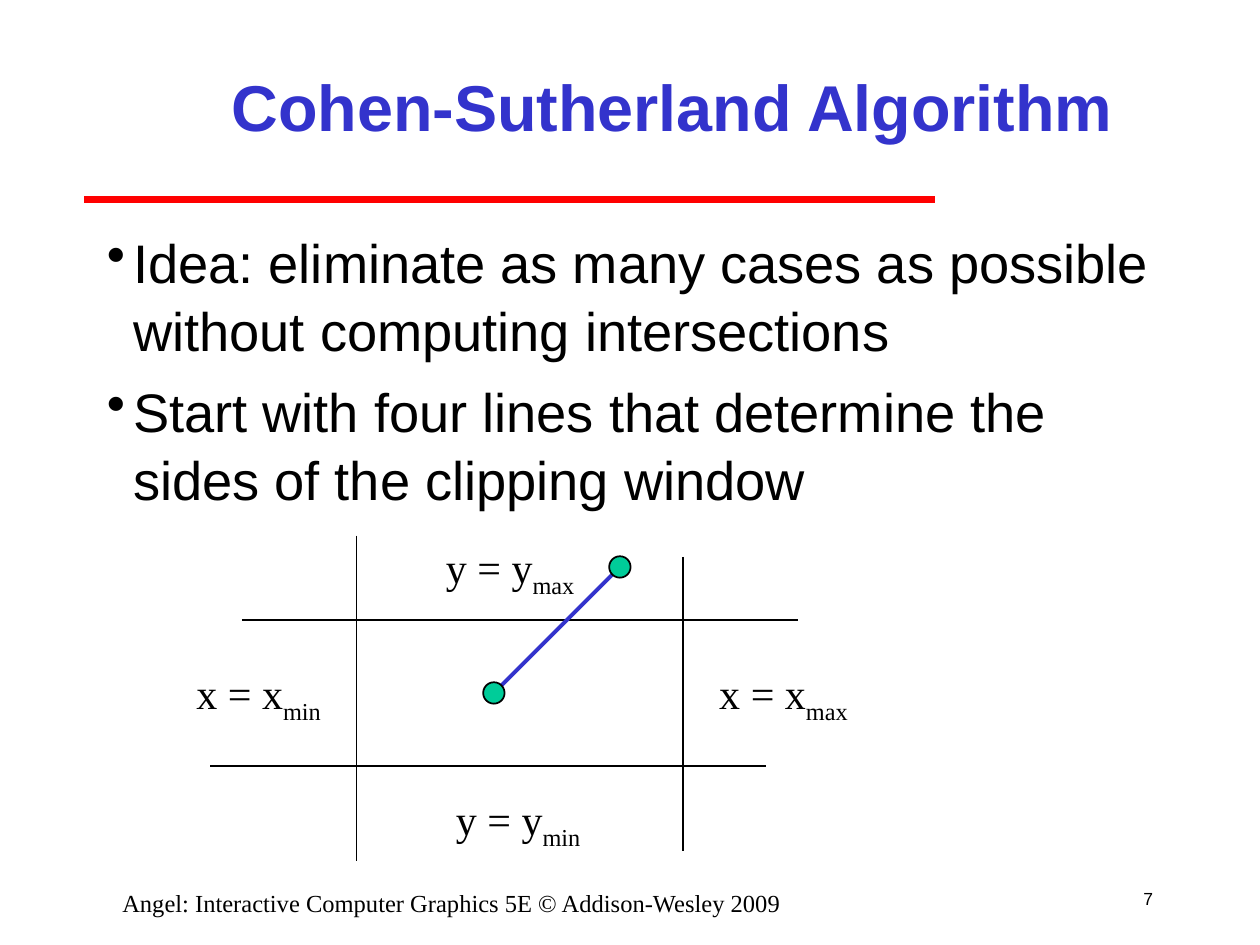
import pptx
import pptx.util
import pptx.dml.color
import pptx.enum.shapes
import pptx.enum.text
import pptx.oxml.ns
from lxml import etree

Inches = pptx.util.Inches
Pt = pptx.util.Pt
RGBColor = pptx.dml.color.RGBColor
ALIGN = pptx.enum.text.PP_ALIGN
ANCHOR = pptx.enum.text.MSO_ANCHOR
qn = pptx.oxml.ns.qn

BLACK = RGBColor(0x00, 0x00, 0x00)
RED = RGBColor(0xFF, 0x00, 0x00)
BLUE = RGBColor(0x33, 0x33, 0xCC)
GREEN = RGBColor(0x00, 0xCC, 0x99)
SERIF = "Times New Roman"
SANS = "Arial"


def add_span(para, text, font=SERIF, size=24, color=BLACK, bold=False, baseline=0):
    span = para.add_run()
    span.text = text
    span.font.name = font
    span.font.size = Pt(size)
    span.font.color.rgb = color
    span.font.bold = bold
    if baseline:
        span.font._element.set("baseline", str(baseline * 1000))


def add_box(page, left, top, width, height, wrap=True, anchor=ANCHOR.TOP):
    box = page.shapes.add_textbox(Inches(left), Inches(top), Inches(width), Inches(height))
    box.text_frame.word_wrap = wrap
    box.text_frame.vertical_anchor = anchor
    return box.text_frame


def add_title(page, text):
    title = page.shapes.title
    title.left, title.top = Inches(1.5), Inches(0.25)
    title.width, title.height = Inches(7.67), Inches(1.17)
    title.text_frame.vertical_anchor = ANCHOR.MIDDLE
    para = title.text_frame.paragraphs[0]
    para.alignment = ALIGN.CENTER
    add_span(para, text, font=SANS, size=37, color=BLUE, bold=True)


def add_bullets(page, texts):
    frame = add_box(page, 0.75, 1.75, 8.5, 5.17)
    for index, text in enumerate(texts):
        para = frame.add_paragraph() if index else frame.paragraphs[0]
        properties = para._p.get_or_add_pPr()
        properties.set("marL", str(Inches(0.21)))
        properties.set("indent", str(-Inches(0.21)))
        etree.SubElement(properties, qn("a:buChar")).set("char", "•")
        para.line_spacing = 1.04
        if index:
            para.space_before = Pt(7.7)
        add_span(para, text, font=SANS, size=31)


def add_line(page, start, end, color=BLACK, width=1):
    line = page.shapes.add_connector(
        pptx.enum.shapes.MSO_CONNECTOR.STRAIGHT, *map(Inches, start + end))
    line.line.color.rgb = color
    line.line.width = Pt(width)
    etree.SubElement(line._element.spPr, qn("a:effectLst"))


def add_endpoint(page, center, diameter=0.17):
    left, top = (Inches(value - diameter / 2) for value in center)
    dot = page.shapes.add_shape(
        pptx.enum.shapes.MSO_SHAPE.OVAL, left, top, Inches(diameter), Inches(diameter))
    dot.shadow.inherit = False
    dot.fill.solid()
    dot.fill.fore_color.rgb = GREEN
    dot.line.color.rgb = BLACK
    dot.line.width = Pt(1)


def add_boundary_label(page, left, top, axis, limit):
    para = add_box(page, left, top, 1.22, 0.56, wrap=False).paragraphs[0]
    add_span(para, f"{axis} = {axis}")
    add_span(para, limit, baseline=-25)


def add_clipping_diagram(page):
    for left, right, y in ((1.92, 6.33, 4.92), (1.67, 6.08, 6.08)):
        add_line(page, (left, y), (right, y))
    for x, top, bottom in ((5.42, 4.42, 6.75), (2.83, 4.25, 6.83)):
        add_line(page, (x, top), (x, bottom))
    for label in ((5.61, 5.25, "x", "max"), (1.46, 5.25, "x", "min"),
                  (3.44, 4.25, "y", "max"), (3.52, 6.25, "y", "min")):
        add_boundary_label(page, *label)
    segment = ((3.92, 5.5), (4.92, 4.5))
    add_line(page, *segment, color=BLUE, width=2.25)
    for point in segment:
        add_endpoint(page, point)


def add_footer(page):
    number = add_box(page, 8.83, 6.92, 0.42, 0.42, wrap=False, anchor=ANCHOR.MIDDLE)
    number.paragraphs[0].alignment = ALIGN.RIGHT
    add_span(number.paragraphs[0], "7", font=SANS, size=10)
    credit = add_box(page, 0.5, 7, 6.17, 0.25)
    credit.paragraphs[0].alignment = ALIGN.CENTER
    add_span(credit.paragraphs[0],
             "Angel: Interactive Computer Graphics 5E © Addison-Wesley 2009", size=14)


def main():
    deck = pptx.Presentation()
    deck.slide_width, deck.slide_height = Inches(10), Inches(7.5)
    page = deck.slides.add_slide(deck.slide_layouts[5])
    add_line(page, (0.67, 1.58), (7.42, 1.58), color=RED, width=4)
    add_footer(page)
    add_title(page, "Cohen-Sutherland Algorithm")
    add_bullets(page, (
        "Idea: eliminate as many cases as possible without computing intersections",
        "Start with four lines that determine the sides of the clipping window",
    ))
    add_clipping_diagram(page)
    deck.save("out.pptx")


if __name__ == "__main__":
    main()
